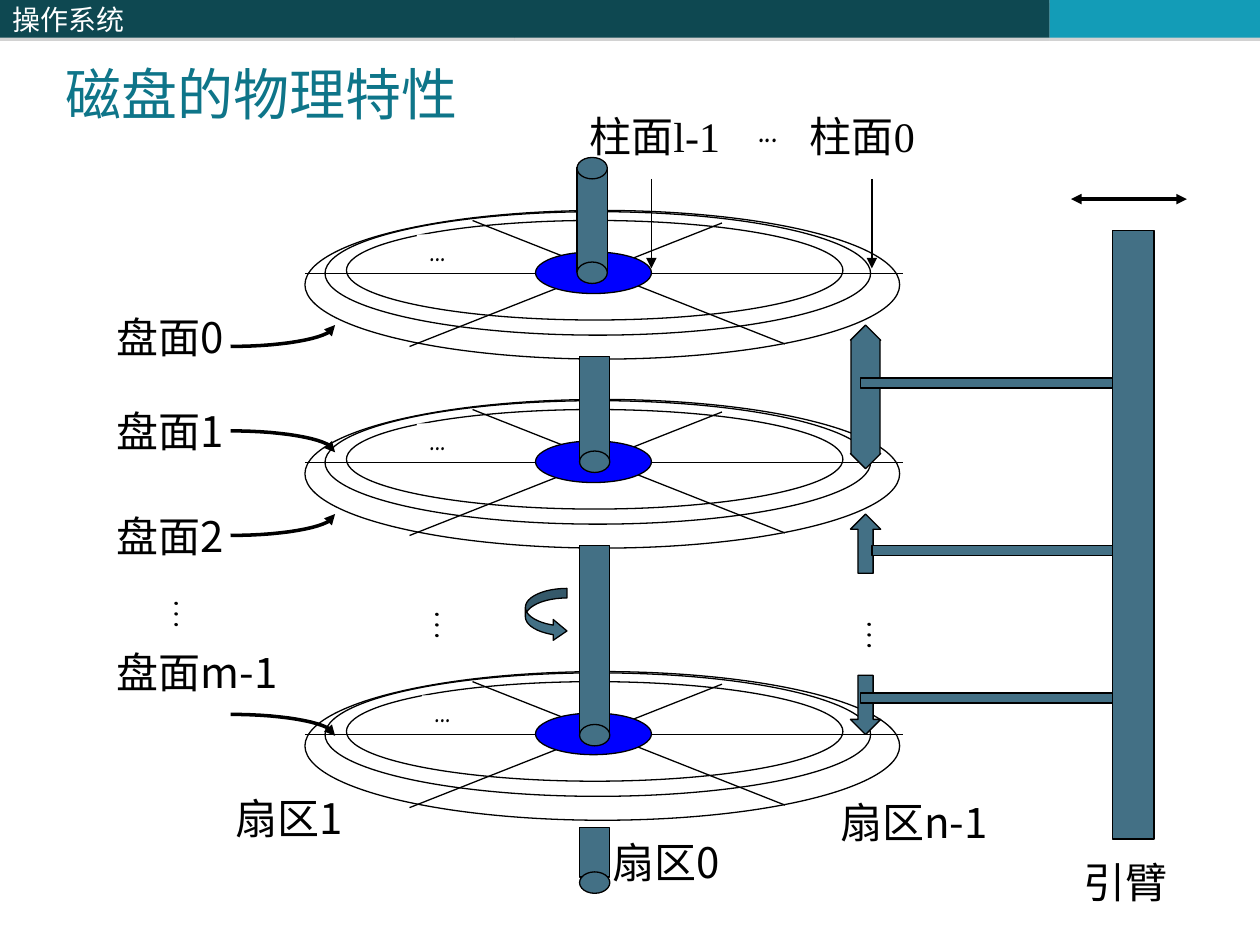
from math import cos, pi, sin

from lxml import etree
from pptx import Presentation
from pptx.dml.color import RGBColor
from pptx.enum.shapes import MSO_CONNECTOR, MSO_SHAPE as SHP
from pptx.enum.text import MSO_ANCHOR, MSO_AUTO_SIZE, PP_ALIGN
from pptx.oxml.ns import qn
from pptx.util import Inches, Pt

WHITE = RGBColor(0xFF, 0xFF, 0xFF)
BLACK = RGBColor(0x00, 0x00, 0x00)
DARK_TEAL = RGBColor(0x0E, 0x48, 0x51)
CYAN = RGBColor(0x13, 0x9C, 0xB7)
TITLE_TEAL = RGBColor(0x0E, 0x75, 0x89)
STEEL = RGBColor(0x43, 0x70, 0x85)
BLUE = RGBColor(0x00, 0x00, 0xFF)
CJK, SERIF, COMIC = "Noto Sans CJK SC", "Times New Roman", "Comic Neue"


def write(s, text, size=24, font=CJK, color=BLACK, margins=(0.1, 0.05),
          anchor=MSO_ANCHOR.TOP, vertical=False, spacing=None,
          fit=MSO_AUTO_SIZE.SHAPE_TO_FIT_TEXT):
    tf = s.text_frame
    tf.word_wrap = True
    tf.auto_size = fit
    tf.vertical_anchor = anchor
    tf.margin_left = tf.margin_right = Inches(margins[0])
    tf.margin_top = tf.margin_bottom = Inches(margins[1])
    if vertical:
        tf._txBody.bodyPr.set("vert", "eaVert")
    p = tf.paragraphs[0]
    p.alignment = PP_ALIGN.LEFT
    p.line_spacing = spacing
    r = p.add_run()
    r.text = text
    r.font.size = Pt(size)
    r.font.color.rgb = color
    r.font.name = font
    # East Asian glyphs need their own typeface entry
    ea = etree.SubElement(r._r.get_or_add_rPr(), qn("a:ea"))
    ea.set("typeface", COMIC if font == COMIC else CJK)


def paint(s, fill=None, width=0.75, ends=()):
    if fill is not None:
        s.fill.solid()
        s.fill.fore_color.rgb = fill
    if width:
        s.line.color.rgb = BLACK
        s.line.width = Pt(width)
    else:
        s.line.fill.background()
    for end in ends:
        etree.SubElement(s.line._ln, qn(f"a:{end}")).set("type", "triangle")
    return etree.SubElement(s._element.spPr, qn("a:effectLst"))


prs = Presentation()
prs.slide_width, prs.slide_height = Inches(10), Inches(7.5)
slide = prs.slides.add_slide(prs.slide_layouts[5])
shapes = slide.shapes

# Header band with a thin shadow
for x, w, color, text in [(0, 4.08, DARK_TEAL, "操作系统"),
                          (4.08, 4.25, DARK_TEAL, ""),
                          (8.33, 1.67, CYAN, "")]:
    s = shapes.add_shape(SHP.RECTANGLE, Inches(x), 0, Inches(w), Inches(0.3))
    effects = paint(s, color, width=0)
    shadow = etree.SubElement(effects, qn("a:outerShdw"), dist=str(Pt(1.8)),
                              dir="5400000", rotWithShape="0")
    clr = etree.SubElement(shadow, qn("a:srgbClr"), val="808080")
    etree.SubElement(clr, qn("a:alpha"), val="35000")
    if text:
        write(s, text, size=16, color=WHITE, anchor=MSO_ANCHOR.MIDDLE,
              fit=MSO_AUTO_SIZE.NONE)

# Title
s = shapes.title
s.left, s.top, s.width, s.height = (Inches(v) for v in (0.42, 0.42, 8.75, 0.83))
write(s, "磁盘的物理特性", size=32, color=TITLE_TEAL, fit=MSO_AUTO_SIZE.NONE)

# Platters: tracks, sector lines, hub and dots around each axis
for axis in (2.17, 3.67, 5.83):
    for x, dy, w, h in [(2.42, -0.5, 4.72, 1.18), (2.58, -0.49, 4.33, 0.98),
                        (2.75, -0.42, 3.94, 0.79)]:
        s = shapes.add_shape(SHP.OVAL, Inches(x), Inches(axis + dy),
                             Inches(w), Inches(h))
        paint(s, WHITE)
    s = shapes.add_shape(SHP.RECTANGLE, Inches(3.35 if axis > 5 else 3.31),
                         Inches(axis - 0.31), Inches(0.66), Inches(0.27))
    paint(s, WHITE, width=0)
    write(s, "...", size=20, font=COMIC, margins=(0.1, 0), spacing=0.8)
    for x1, dy1, x2, dy2 in [(5.73, -0.4, 3.25, 0.58), (3.75, -0.42, 6.23, 0.56),
                             (2.42, 0, 7.17, 0)]:
        s = shapes.add_connector(MSO_CONNECTOR.STRAIGHT, Inches(x1), Inches(axis + dy1),
                                 Inches(x2), Inches(axis + dy2))
        paint(s)
    s = shapes.add_shape(SHP.OVAL, Inches(4.25), Inches(axis - 0.17),
                         Inches(0.92), Inches(0.33))
    paint(s, BLUE)

# Spindle sections, head movement arrows, arms, then spindle ends
for kind, x, y, w, h in [
    (SHP.RECTANGLE, 4.58, 1.33, 0.24, 0.83),
    (SHP.RECTANGLE, 4.6, 2.83, 0.24, 0.83),
    (SHP.RECTANGLE, 4.6, 4.33, 0.24, 1.49),
    (SHP.RECTANGLE, 4.6, 6.57, 0.24, 0.39),
    (SHP.UP_DOWN_ARROW, 6.75, 2.58, 0.24, 1.14),
    (SHP.UP_ARROW, 6.75, 4.08, 0.24, 0.47),
    (SHP.DOWN_ARROW, 6.75, 5.36, 0.24, 0.47),
    (SHP.RECTANGLE, 6.83, 3, 2, 0.08),
    (SHP.RECTANGLE, 6.92, 4.33, 2, 0.08),
    (SHP.RECTANGLE, 6.83, 5.5, 2, 0.08),
    (SHP.RECTANGLE, 8.83, 1.83, 0.33, 4.83),
    (SHP.OVAL, 4.58, 1.25, 0.24, 0.17),
    (SHP.OVAL, 4.58, 2.08, 0.24, 0.17),
    (SHP.OVAL, 4.6, 3.58, 0.24, 0.17),
    (SHP.OVAL, 4.6, 5.75, 0.24, 0.17),
    (SHP.OVAL, 4.6, 6.92, 0.24, 0.17),
    (SHP.CURVED_RIGHT_ARROW, 4.17, 4.67, 0.33, 0.42),
]:
    s = shapes.add_shape(kind, Inches(x), Inches(y), Inches(w), Inches(h))
    paint(s, STEEL)
    if kind == SHP.UP_DOWN_ARROW:
        s.adjustments[1] = 0.96
    elif kind == SHP.CURVED_RIGHT_ARROW:
        s.adjustments[0], s.adjustments[2] = 0.23, 0.33

# Quarter-ellipse arrows from the surface labels to the platters
STEPS = 16
for y, rise in [(2.75, -0.17), (3.42, 0.17), (4.25, -0.17), (5.67, 0.17)]:
    arc = [(Inches(1.83 + 0.83 * sin(a)), Inches(y + rise * (1 - cos(a))))
           for a in (pi / 2 * i / STEPS for i in range(STEPS + 1))]
    fb = shapes.build_freeform(*arc[0])
    fb.add_line_segments(arc[1:], close=False)
    s = fb.convert_to_shape()
    s.fill.background()
    paint(s, width=2, ends=["tailEnd"])

# Cylinder pointers and arm movement
for x1, y1, x2, y2, width, ends in [
    (5.17, 1.42, 5.17, 2.13, 0.75, ["tailEnd"]),
    (6.92, 1.42, 6.92, 2.13, 0.75, ["tailEnd"]),
    (8.5, 1.58, 9.42, 1.58, 2, ["headEnd", "tailEnd"]),
]:
    s = shapes.add_connector(MSO_CONNECTOR.STRAIGHT, Inches(x1), Inches(y1),
                             Inches(x2), Inches(y2))
    paint(s, width=width, ends=ends)

# Labels
for text, x, y, w, h, font in [
    ("盘面0", 0.83, 2.42, 1.17, 0.5, CJK),
    ("盘面1", 0.83, 3.17, 1.17, 0.5, CJK),
    ("盘面2", 0.83, 4, 1.17, 0.5, CJK),
    ("盘面m-1", 0.83, 5.08, 1.5, 0.9, CJK),
    ("扇区1", 1.77, 6.24, 1.1, 0.9, CJK),
    ("扇区0", 4.76, 6.59, 1.17, 0.5, CJK),
    ("扇区n-1", 6.57, 6.27, 1.65, 0.5, CJK),
    ("引臂", 8.5, 6.75, 1, 0.5, CJK),
    ("柱面l-1", 4.58, 0.83, 1.42, 0.5, SERIF),
    ("柱面0", 6.33, 0.83, 1.17, 0.5, SERIF),
    ("...", 5.92, 0.75, 0.58, 0.5, COMIC),
]:
    s = shapes.add_textbox(Inches(x), Inches(y), Inches(w), Inches(h))
    write(s, text, font=font)

# Vertical dots
for x, y in [(1.17, 4.67), (3.24, 4.75), (6.67, 4.83)]:
    s = shapes.add_textbox(Inches(x), Inches(y), Inches(0.6), Inches(0.67))
    write(s, "…", font=COMIC, margins=(0.05, 0.1), vertical=True)

prs.save("out.pptx")
